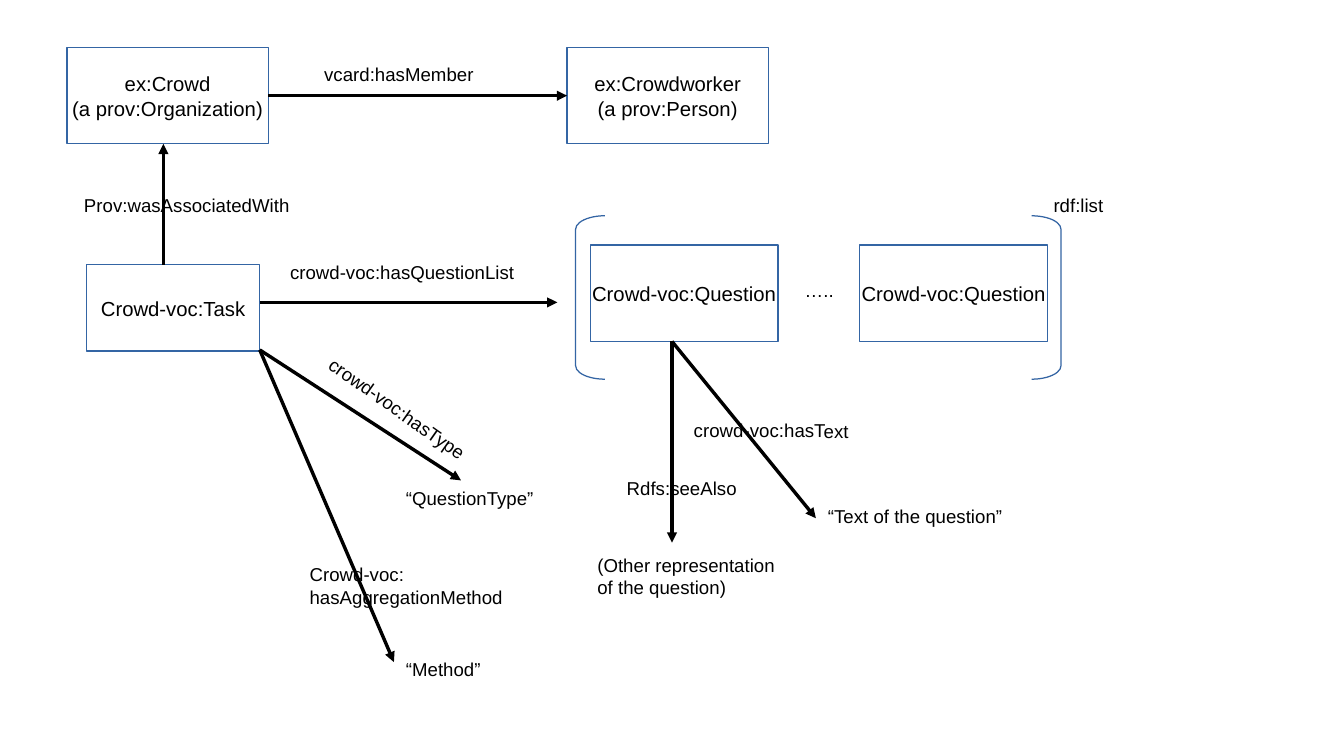
from lxml.etree import SubElement
from pptx import Presentation
from pptx.dml.color import RGBColor
from pptx.enum.shapes import MSO_CONNECTOR as Link, MSO_SHAPE as Preset
from pptx.enum.text import MSO_ANCHOR as Anchor, MSO_AUTO_SIZE as Fit, PP_ALIGN as Align
from pptx.oxml.ns import qn
from pptx.util import Inches, Pt

BLACK = RGBColor(0x00, 0x00, 0x00)
BLUE = RGBColor(0x34, 0x65, 0xA4)

BOX_FRAME = {"word_wrap": False, "vertical_anchor": Anchor.MIDDLE}
LABEL_FRAME = {"word_wrap": True, "auto_size": Fit.SHAPE_TO_FIT_TEXT}

QUESTION = "Crowd-voc:Question"
QUESTION_LEFTS = (4.84, 7.05)
BRACKETS = ((Preset.LEFT_BRACKET, 4.72), (Preset.RIGHT_BRACKET, 8.46))

TASK_CORNER = (2.13, 2.87)
QUESTION_FOOT = (5.51, 2.8)
ARROWS = (
    ((2.13, 2.48), (4.57, 2.48)),
    ((1.34, 2.17), (1.34, 1.18)),
    (QUESTION_FOOT, (5.51, 4.45)),
    (QUESTION_FOOT, (6.69, 4.25)),
    (TASK_CORNER, (3.78, 3.94)),
    (TASK_CORNER, (3.23, 5.43)),
)

LABELS = (
    ("vcard:hasMember", 2.56, 0.47, 1.5, 0.27, 0),
    ("Prov:wasAssociatedWith", 0.59, 1.54, 1.89, 0.44, 0),
    ("rdf:list", 8.54, 1.54, 0.79, 0.35, 0),
    ("crowd-voc:hasQuestionList", 2.28, 2.09, 2.2, 0.35, 0),
    ("…..", 6.5, 2.24, 0.51, 0.35, 0),
    ("crowd-voc:hasType", 2.41, 3.39, 2.18, 0.38, 35.1),
    ("crowd-voc:hasText", 5.59, 3.39, 1.81, 0.27, 0.1),
    ("Rdfs:seeAlso", 5.04, 3.86, 1.18, 0.27, 0),
    ("“QuestionType”", 3.23, 3.94, 1.26, 0.31, 0),
    ("“Text of the question”", 6.69, 4.09, 1.73, 0.31, 0),
    ("(Other representation of the question)", 4.8, 4.49, 1.73, 0.47, 0),
    ("Crowd-voc: hasAggregationMethod", 2.44, 4.57, 2.28, 0.61, 0),
    ("“Method”", 3.23, 5.35, 1.26, 0.31, 0),
)


def apply_format(target, values):
    """Set every attribute named in a dict of format values."""
    for name, value in values.items():
        setattr(target, name, value)


def write_text(shape, text, size, align, frame_format):
    """Fill a shape with one black paragraph."""
    apply_format(shape.text_frame, frame_format)
    para = shape.text_frame.paragraphs[0]
    para.text = text
    para.alignment = align
    apply_format(para.font, {"name": "Arial", "size": Pt(size)})
    para.font.color.rgb = BLACK


def draw_line(line, color):
    """Give a line its colour and hairline width."""
    line.color.rgb = color
    line.width = Pt(0)


def add_outline(page, preset, left, top, width, height):
    """Add an unfilled shape with a blue hairline."""
    shape = page.shapes.add_shape(preset, *map(Inches, (left, top, width, height)))
    shape.shadow.inherit = False
    shape.fill.background()
    draw_line(shape.line, BLUE)
    return shape


def add_box(page, text, left, top, width, height):
    """Add a rectangle that names a class or an instance."""
    box = add_outline(page, Preset.RECTANGLE, left, top, width, height)
    write_text(box, text, 12, Align.CENTER, BOX_FRAME)
    return box


def add_label(page, text, left, top, width, height, rotation):
    """Add a free label, turned if needed."""
    label = page.shapes.add_textbox(*map(Inches, (left, top, width, height)))
    label.rotation = rotation
    write_text(label, text, 11, Align.LEFT, LABEL_FRAME)


def add_arrow(page, start, end):
    """Add a straight hairline arrow between two points."""
    arrow = page.shapes.add_connector(Link.STRAIGHT, *map(Inches, start + end))
    draw_line(arrow.line, BLACK)
    SubElement(arrow.line._get_or_add_ln(), qn("a:tailEnd"), type="triangle")
    SubElement(arrow._element.spPr, qn("a:effectLst"))
    return arrow


def main():
    """Build the crowd task vocabulary diagram."""
    deck = Presentation()
    apply_format(deck, {"slide_width": Inches(11.02), "slide_height": Inches(6.2)})
    page = deck.slides.add_slide(deck.slide_layouts[6])

    add_box(page, "Crowd-voc:Task", 0.71, 2.17, 1.42, 0.71)
    crowd = add_box(page, "ex:Crowd\n(a prov:Organization)", 0.55, 0.39, 1.65, 0.79)
    worker = add_box(page, "ex:Crowdworker\n(a prov:Person)", 4.65, 0.39, 1.65, 0.79)
    for left in QUESTION_LEFTS:
        add_box(page, QUESTION, left, 2.01, 1.54, 0.79)
    for preset, left in BRACKETS:
        bracket = add_outline(page, preset, left, 1.77, 0.24, 1.34)
        bracket.adjustments[0] = 0.46

    member = add_arrow(page, (2.2, 0.79), (4.65, 0.79))
    member.begin_connect(crowd, 3)
    member.end_connect(worker, 1)
    for start, end in ARROWS:
        add_arrow(page, start, end)
    for label in LABELS:
        add_label(page, *label)

    deck.save("out.pptx")


if __name__ == "__main__":
    main()
